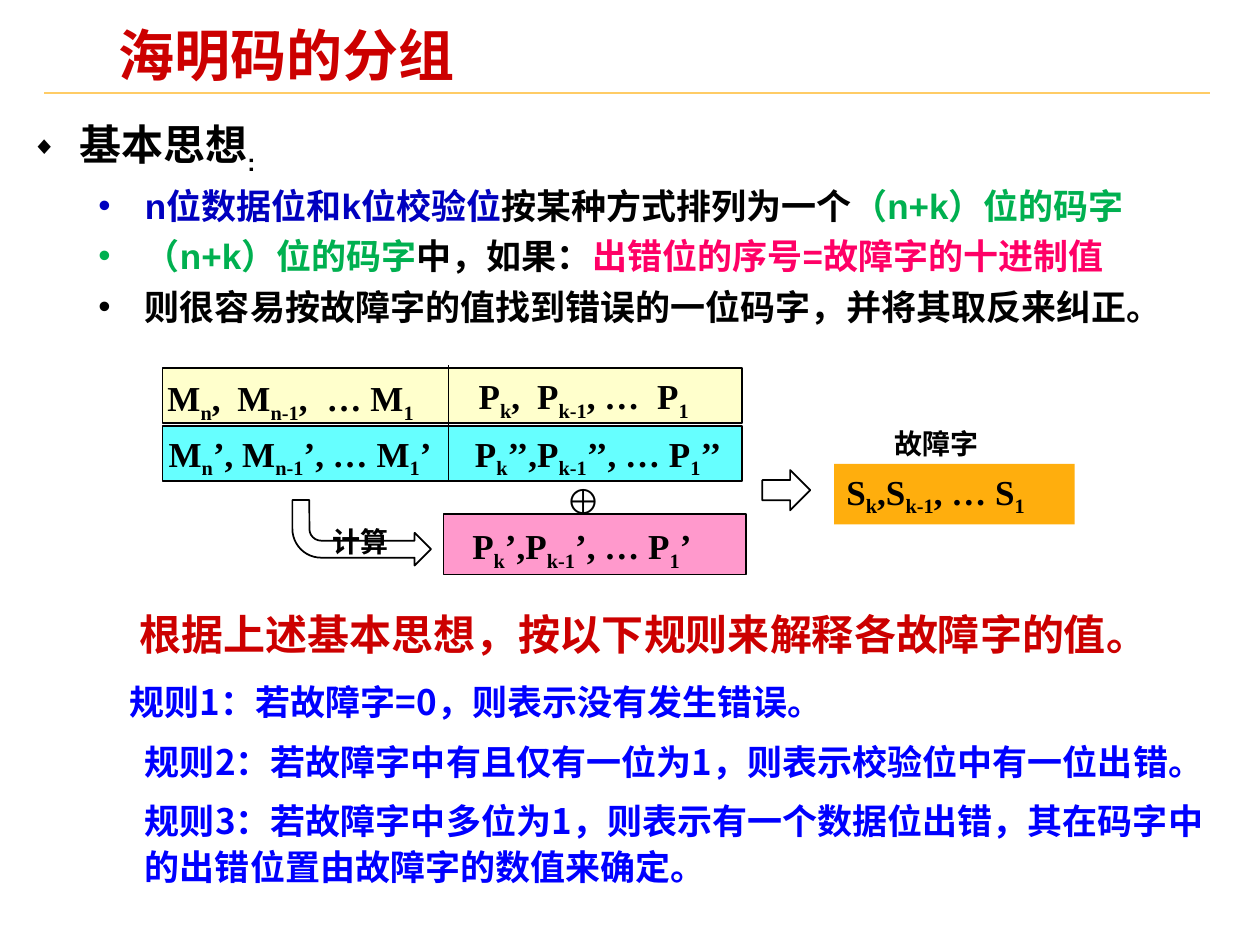
from pptx import Presentation
from pptx.dml.color import RGBColor
from pptx.enum.shapes import MSO_CONNECTOR, MSO_SHAPE
from pptx.enum.text import MSO_ANCHOR
from pptx.oxml.ns import qn
from pptx.util import Pt
from lxml import etree

RECT = MSO_SHAPE.RECTANGLE
RIGHT_ARROW = MSO_SHAPE.RIGHT_ARROW
BENT_ARROW = MSO_SHAPE.BENT_ARROW
STRAIGHT = MSO_CONNECTOR.STRAIGHT
MIDDLE = MSO_ANCHOR.MIDDLE
TOP = MSO_ANCHOR.TOP

COLORS = {
    "black": "000000", "red": "CC0000", "navy": "0000BF", "green": "00B050",
    "magenta": "FF0066", "blue": "0000FF", "rule": "FFCC66", "sent": "FFFFCC",
    "received": "66FFFF", "computed": "FF99CC", "syndrome": "FFAE0D",
}
SANS, SERIF, CJK = "Arial", "Times New Roman", "Noto Sans CJK SC"


def rgb(name):
    return RGBColor.from_string(COLORS[name])


def style(para, size, face, color):
    font = para.font
    font.size, font.name, font.bold = Pt(size), face, True
    font.color.rgb = rgb(color)


def add_frame(page, box, inset=(7.2, 3.6), anchor=MIDDLE):
    frame = page.shapes.add_textbox(*map(Pt, box)).text_frame
    frame.word_wrap = True
    frame.vertical_anchor = anchor
    frame.margin_left = frame.margin_right = Pt(inset[0])
    frame.margin_top = frame.margin_bottom = Pt(inset[1])
    return frame


def add_spans(para, text, color=None):
    """Add runs; parts of the text in braces become subscripts."""
    for index, part in enumerate(text.replace("}", "{").split("{")):
        if not part:
            continue
        span = para.add_run()
        span.text = part
        if color:
            span.font.color.rgb = rgb(color)
        if index % 2:
            span._r.get_or_add_rPr().set("baseline", "-25000")


def add_element(parent, tag, **attributes):
    return etree.SubElement(parent, qn(tag), attributes)


def indent(para, left, first=0):
    props = para._p.get_or_add_pPr()
    props.set("marL", str(Pt(left)))
    props.set("indent", str(Pt(first)))
    return props


def set_bullet(para, char, color, percent=100):
    props = para._p.get_or_add_pPr()
    add_element(add_element(props, "a:buClr"), "a:srgbClr", val=COLORS[color])
    add_element(props, "a:buSzPct", val=str(percent * 1000))
    add_element(props, "a:buFont", typeface=SANS)
    add_element(props, "a:buChar", char=char)


def add_label(page, box, text, size=20, tabs=()):
    para = add_frame(page, box).paragraphs[0]
    if tabs:
        stops = add_element(para._p.get_or_add_pPr(), "a:tabLst")
        for stop in tabs:
            add_element(stops, "a:tab", pos=str(Pt(stop)), algn="l")
    style(para, size, SERIF, "black")
    add_spans(para, text)


def add_block(page, kind, box, fill=None, outline=True):
    shape = page.shapes.add_shape(kind, *map(Pt, box))
    shape.shadow.inherit = False
    if fill:
        shape.fill.solid()
        shape.fill.fore_color.rgb = rgb(fill)
    else:
        shape.fill.background()
    if outline:
        shape.line.color.rgb = rgb("black")
        shape.line.width = Pt(1)
    else:
        shape.line.fill.background()
    return shape


def add_line(page, start, end, color):
    line = page.shapes.add_connector(STRAIGHT, *map(Pt, start + end))
    line.line.color.rgb = rgb(color)
    line.line.width = Pt(1)
    add_element(line._element.spPr, "a:effectLst")


def draw_title(page, box):
    left, top, width, height = box
    add_line(page, (25.2, top + 38.2), (691.2, top + 38.2), "rule")
    para = add_frame(page, box, (5, 2.2)).paragraphs[0]
    para.line_spacing = 0.87
    style(para, 32, SANS, "red")
    add_spans(para, "海明码的分组")


def draw_idea(page, box):
    frame = add_frame(page, box, (5, 2.2), TOP)
    head = frame.paragraphs[0]
    indent(head, 27.4, -27.4)
    head.line_spacing = 1.2
    set_bullet(head, "◆", "black", 60)
    style(head, 24, SANS, "black")
    add_spans(head, "基本思想{:}")

    points = [
        [("n位数据位和k位校验位", "navy"), ("按某种方式排列为一个", "black"),
         ("（n+k）位的码字", "green")],
        [("（n+k）位的码字", "green"), ("中，如果：", "black"),
         ("出错位的序号=故障字的十进制值", "magenta")],
        [("则很容易按故障字的值找到错误的一位码字，并将其取反来纠正。", "black")],
    ]
    for point in points:
        para = frame.add_paragraph()
        indent(para, 64.8, -26.6)
        para.line_spacing = 1.2
        para.space_before = Pt(0)
        set_bullet(para, "•", point[0][1])
        style(para, 20, SANS, "black")
        for text, color in point:
            add_spans(para, text, color)


def draw_code_words(page, box):
    left, top, width, height = box
    # Computed check bits lie below the two code words
    add_block(page, RECT, (left + 160.6, top + 83.5, 172.8, 34.6), "computed")
    row_step = 33.1
    for row, fill in enumerate(("sent", "received")):
        row_top = top + row * row_step
        add_block(page, RECT, (left, row_top, width, 31.7), fill)
        add_line(page, (left + 163.4, row_top - 1.4), (left + 163.4, row_top + 31), "black")

    add_label(page, (left - 4.3, top + 1.4, 252, 34.6),
              "M{n},\tM{n-1},\t… M{1}", tabs=(40, 91))
    add_label(page, (left + 173.5, top, 146, 34.6),
              "P{k},\tP{k-1}, …\tP{1}", tabs=(33.5, 102))
    add_label(page, (left - 3.6, top + row_step, 185, 34.6), "M{n}’, M{n-1}’, … M{1}’")
    add_label(page, (left + 171.4, top + row_step, 184, 34.6), "P{k}’’,P{k-1}’’, … P{1}’’")
    add_label(page, (left + 169.9, top + 85.7, 227, 34.6), "P{k}’,P{k-1}’, … P{1}’")
    add_label(page, (left + 223.2, top + 59.8, 31, 31.7), "⊕")

    # Bent arrow from the data bits to the computed check bits
    arrow = add_block(page, BENT_ARROW, (left + 74.2, top + 75.6, 79.2, 37.4))
    for index, value in enumerate((0.26, 0.25, 0.25, 0.44)):
        arrow.adjustments[index] = value
    arrow._element.spPr.find(qn("a:xfrm")).set("flipV", "1")
    add_label(page, (left + 90, top + 85.7, 68.4, 26.6), "计算", 16)


def draw_syndrome(page, box):
    left, top, width, height = box
    add_block(page, RIGHT_ARROW, (left - 41, top + 3.6, 27.4, 23))
    add_block(page, RECT, box, "syndrome", outline=False)
    add_label(page, box, "S{k},S{k-1}, … S{1}")
    add_label(page, (left + 27.4, top - 25.2, 130, 26.6), "故障字", 16)


def draw_rules(page, box):
    frame = add_frame(page, box, (5, 2.2), TOP)
    lead = frame.paragraphs[0]
    indent(lead, 62)
    lead.line_spacing = 1.2
    style(lead, 24, SANS, "red")
    add_spans(lead, "根据上述基本思想，按以下规则来解释各故障字的值。")
    rules = [
        ("规则1：若故障字=0，则表示没有发生错误。", 56, 1.2),
        ("规则2：若故障字中有且仅有一位为1，则表示校验位中有一位出错。", 64.8, 1.1),
        ("规则3：若故障字中多位为1，则表示有一个数据位出错，其在码字中的出错位置由故障字的数值来确定。",
         64.8, 1.1),
    ]
    for text, left, spacing in rules:
        para = frame.add_paragraph()
        indent(para, left)
        para.line_spacing = spacing
        para.space_before = Pt(7.5)
        style(para, 20, CJK, "blue")
        add_spans(para, text)


def main():
    deck = Presentation()
    deck.slide_width, deck.slide_height = Pt(720), Pt(540)
    page = deck.slides.add_slide(deck.slide_layouts[6])
    draw_title(page, (62.6, 15.1, 478, 37.4))
    draw_idea(page, (13, 59, 690.5, 135))
    draw_code_words(page, (92.9, 210.2, 331.2, 64.8))
    draw_syndrome(page, (476.6, 265, 137.5, 34.6))
    draw_rules(page, (13, 340, 690.5, 195))
    deck.save("out.pptx")


if __name__ == "__main__":
    main()
